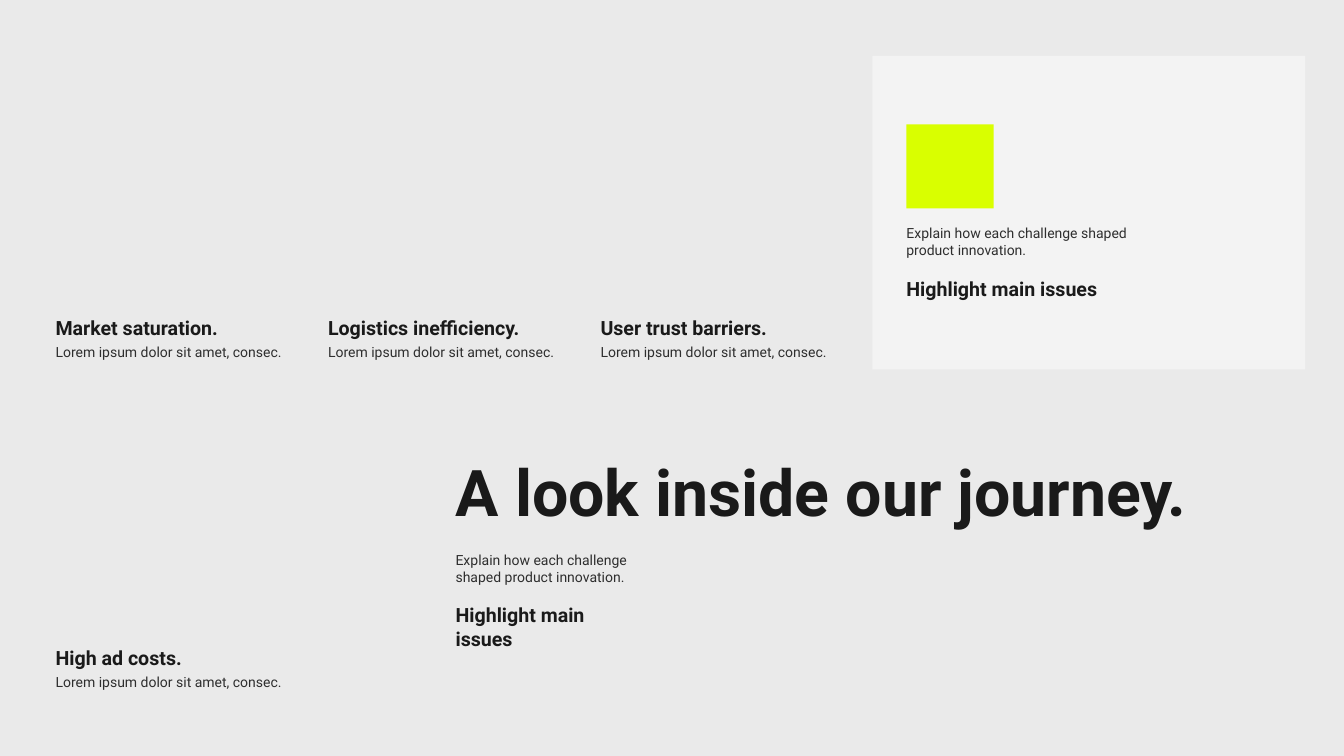
"""Build the slide on the journey and its challenges."""
import dataclasses

import pptx
import pptx.dml.color
import pptx.enum.shapes
import pptx.enum.text
import pptx.util

Cm = pptx.util.Cm


@dataclasses.dataclass(frozen=True)
class Theme:
    """Colours, font and type sizes."""

    font: str = "Roboto"
    background: str = "EAEAEA"
    panel: str = "F3F3F3"
    accent: str = "D9FF00"
    ink: str = "1A1A1A"
    muted: str = "2E2E2E"
    title: int = 69
    heading: int = 21
    body: int = 15


class Page:
    """Draw styled elements on one slide."""

    def __init__(self, s, theme):
        """Keep the slide and theme, and paint the background."""
        self.s, self.theme = s, theme
        self.paint(s.background.fill, theme.background)

    def paint(self, fill, color):
        """Give a fill one solid colour."""
        fill.solid()
        fill.fore_color.rgb = pptx.dml.color.RGBColor.from_string(color)

    def set_text(self, tf, lines, size, color, bold):
        """Set one left-aligned paragraph for each line."""
        tf.word_wrap = True
        tf.auto_size = pptx.enum.text.MSO_AUTO_SIZE.NONE
        tf.vertical_anchor = pptx.enum.text.MSO_ANCHOR.TOP
        for i, line in enumerate(lines):
            p = tf.add_paragraph() if i else tf.paragraphs[0]
            p.alignment = pptx.enum.text.PP_ALIGN.LEFT
            r = p.add_run()
            r.text = line
            r.font.name = self.theme.font
            r.font.size = pptx.util.Pt(size)
            r.font.bold = bold
            r.font.color.rgb = pptx.dml.color.RGBColor.from_string(color)

    def title(self, x, y, w, h, text):
        """Place and fill the title placeholder."""
        sp = self.s.shapes.title
        sp.left, sp.top, sp.width, sp.height = Cm(x), Cm(y), Cm(w), Cm(h)
        self.set_text(sp.text_frame, [text], self.theme.title, self.theme.ink, True)

    def heading(self, x, y, w, h, *lines):
        """Add a bold heading."""
        sp = self.s.shapes.add_textbox(Cm(x), Cm(y), Cm(w), Cm(h))
        self.set_text(sp.text_frame, lines, self.theme.heading, self.theme.ink, True)

    def body(self, x, y, w, h, *lines):
        """Add plain body text."""
        sp = self.s.shapes.add_textbox(Cm(x), Cm(y), Cm(w), Cm(h))
        self.set_text(sp.text_frame, lines, self.theme.body, self.theme.muted, False)

    def block(self, x, y, w, h, color):
        """Add a flat rectangle."""
        kind = pptx.enum.shapes.MSO_SHAPE.RECTANGLE
        sp = self.s.shapes.add_shape(kind, Cm(x), Cm(y), Cm(w), Cm(h))
        sp.shadow.inherit = False
        sp.line.fill.background()
        self.paint(sp.fill, color)

    def challenge(self, x, y, w, name):
        """Add a challenge heading with its description below."""
        self.heading(x, y, w, 1.15, name)
        self.body(x, y + 1.04, 9.63, 0.89, "Lorem ipsum dolor sit amet, consec.")


def main():
    """Build and save the slide."""
    prs = pptx.Presentation()
    prs.slide_width, prs.slide_height = Cm(50.8), Cm(28.58)
    theme = Theme()
    page = Page(prs.slides.add_slide(prs.slide_layouts[5]), theme)

    left, pitch = 1.85, 10.3
    challenges = [
        ("Market saturation.", 7.21),
        ("Logistics inefficiency.", 8.53),
        ("User trust barriers.", 7.26),
    ]
    for i, (name, width) in enumerate(challenges):
        page.challenge(left + i * pitch, 11.81, width, name)
    page.challenge(left, 24.31, 5.64, "High ad costs.")

    story = 16.97
    page.title(story, 16.97, 30, 3.33, "A look inside our journey.")
    page.body(story, 20.73, 8.43, 1.55,
              "Explain how each challenge", "shaped product innovation.")
    page.heading(story, 22.68, 6.76, 2.06, "Highlight main", "issues")

    card = 34.01
    page.block(32.97, 2.11, 16.36, 11.86, theme.panel)
    page.block(card + 0.25, 4.7, 3.3, 3.18, theme.accent)
    page.body(card, 8.38, 10.44, 1.55,
              "Explain how each challenge shaped", "product innovation.")
    page.heading(card, 10.34, 7.98, 1.19, "Highlight main issues")

    prs.save("out.pptx")


if __name__ == "__main__":
    main()
